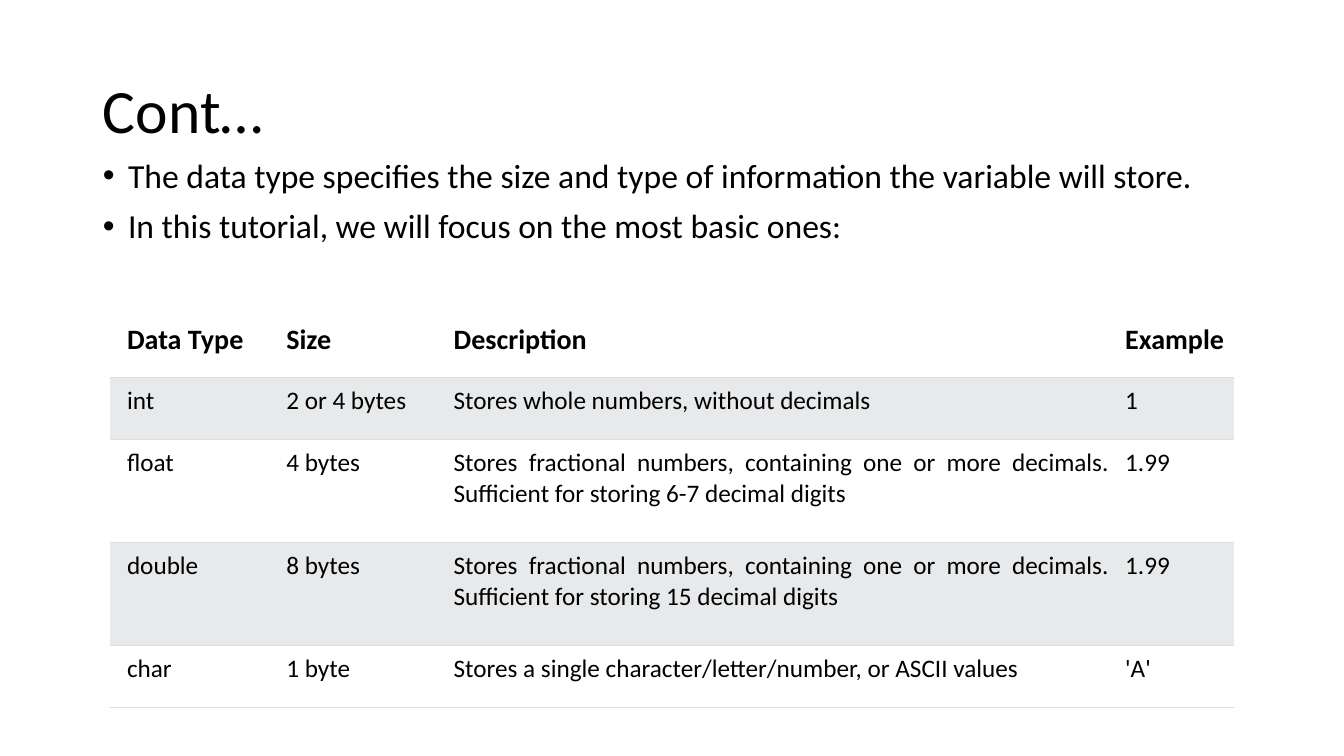
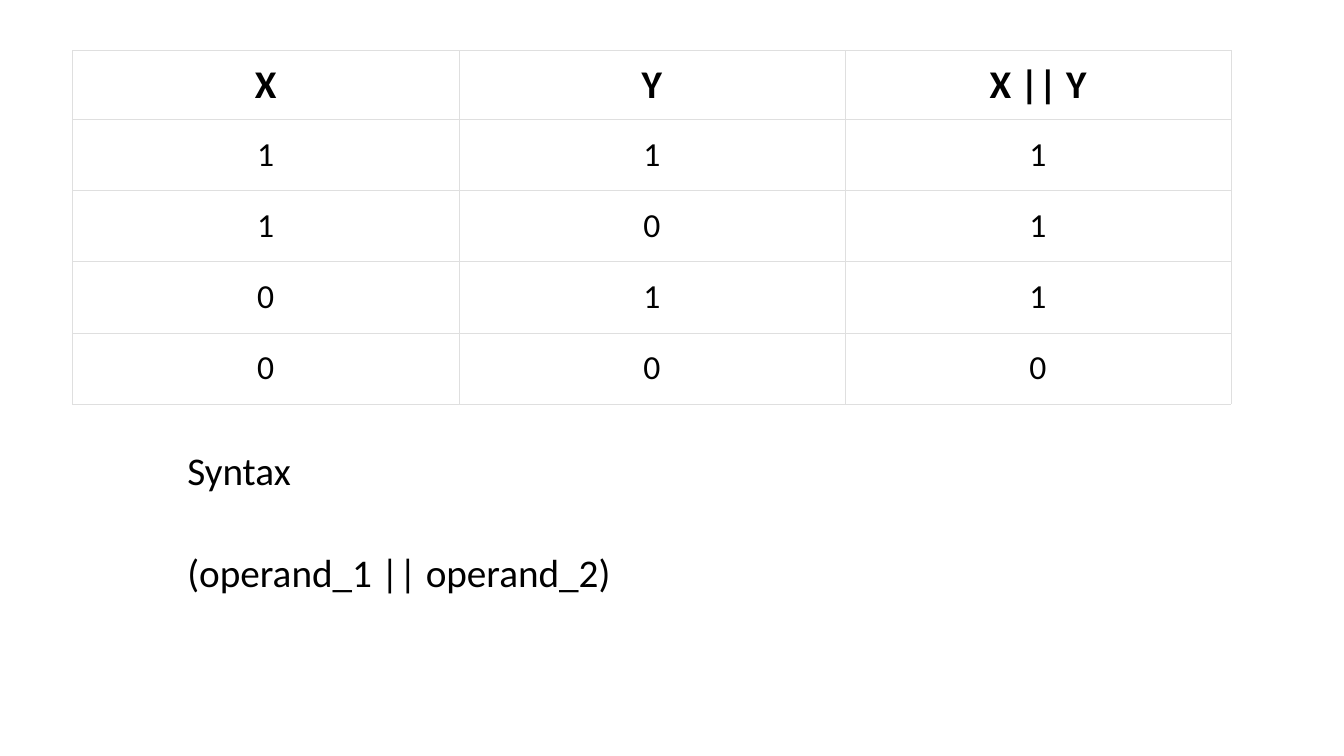
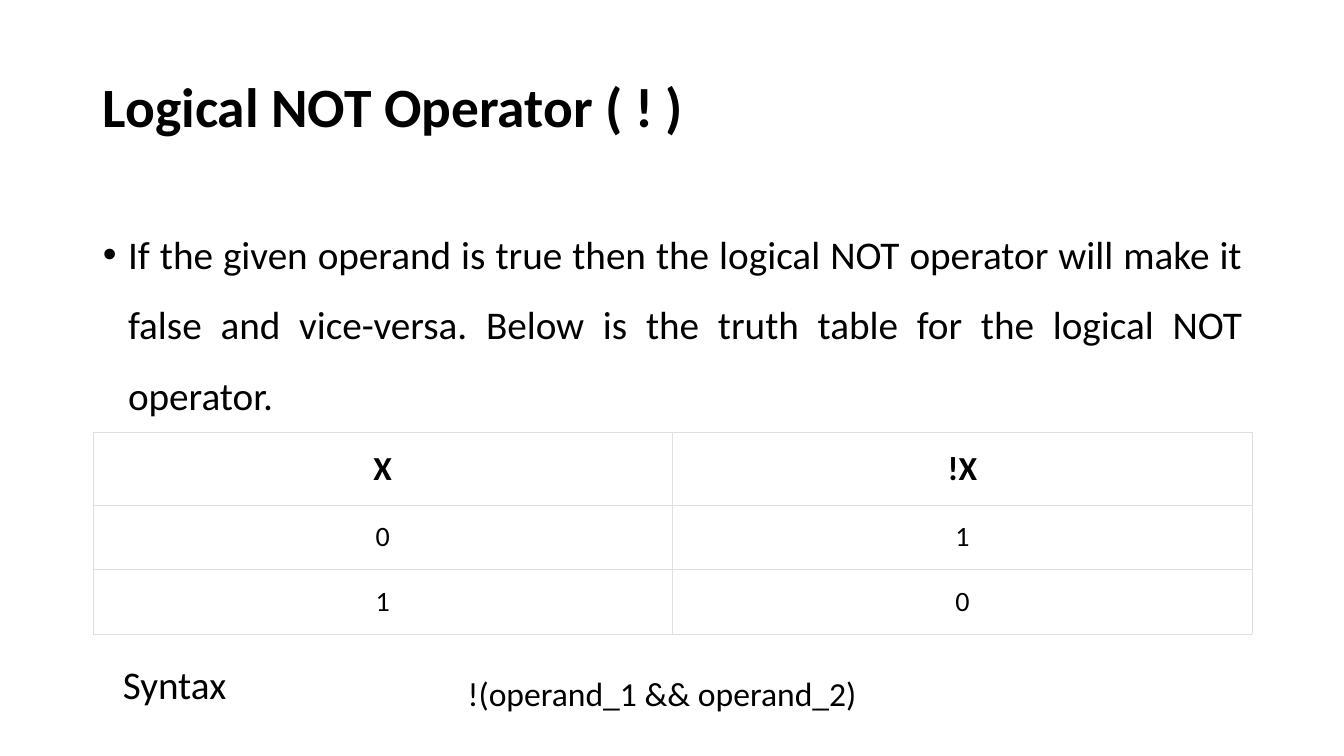
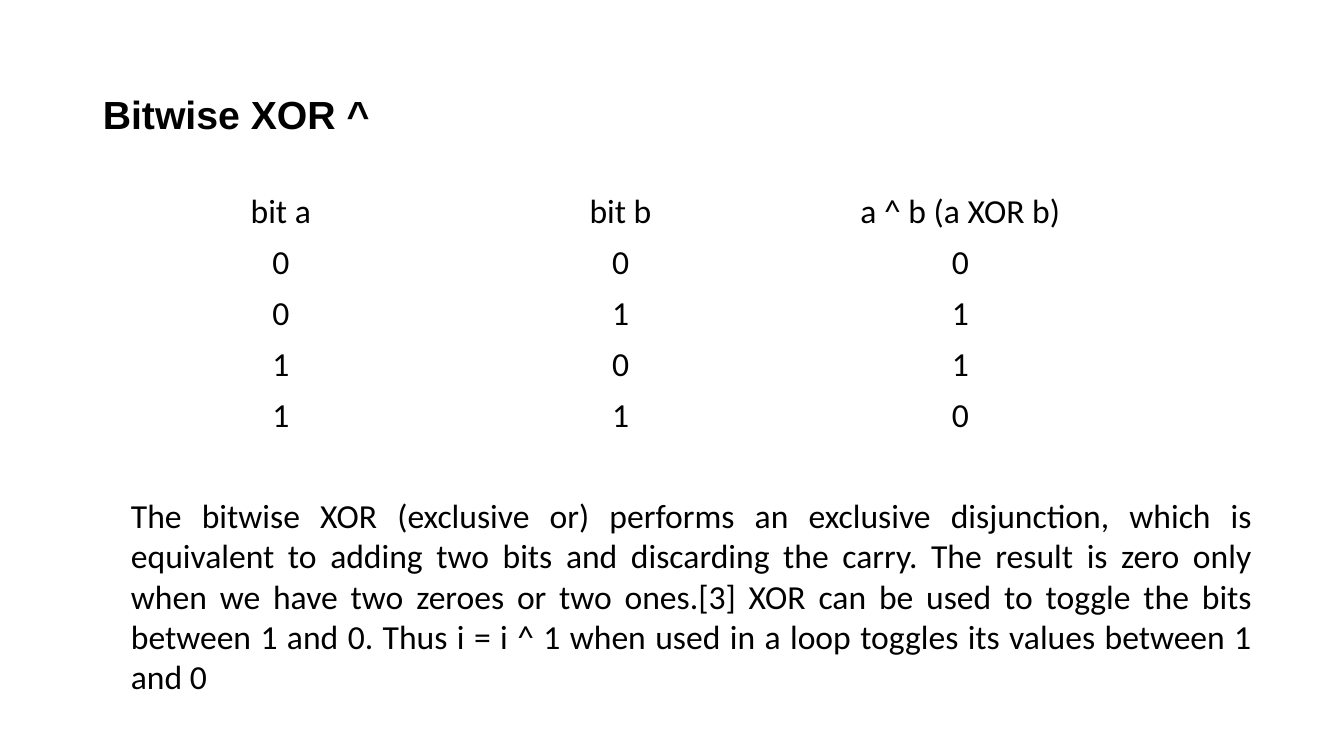
from dataclasses import dataclass

from lxml.etree import SubElement
from pptx import Presentation
from pptx.dml.color import RGBColor
from pptx.enum.text import MSO_ANCHOR, MSO_AUTO_SIZE, PP_ALIGN
from pptx.oxml.ns import qn
from pptx.util import Inches, Pt


@dataclass(frozen=True)
class Theme:
    font: str = "Calibri"
    ink: str = "000000"
    paper: str = "FFFFFF"
    band: str = "E7E9EB"
    rule: str = "DDDDDD"
    grid: str = "DFDFDF"
    head: float = 44
    title: float = 39.6
    large: float = 28
    text: float = 24
    label: float = 20
    small: float = 18


theme = Theme()
LEFT, MID, JUST = PP_ALIGN.LEFT, PP_ALIGN.CENTER, PP_ALIGN.JUSTIFY
PLAIN = "{2D5ABB26-0587-4C30-8999-92F81FD0307C}"  # table style without lines or fills


def write(para, text, size, bold=False, font=theme.font, **form):
    """Add a run to a paragraph and set the paragraph's format values."""
    run = para.add_run()
    run.text = text
    for name, value in {"size": Pt(size), "bold": bold, "name": font}.items():
        setattr(run.font, name, value)
    run.font.color.rgb = RGBColor.from_string(theme.ink)
    for name, value in form.items():
        setattr(para, name, value)


def draw(slide, rows, spot, widths, heights, sizes, pads, aligns,
         bold=True, anchor=MSO_ANCHOR.MIDDLE, fills=(), edges="", line=None):
    """Add a table; sizes and pads hold one value for the head and one for the rest."""
    frame = slide.shapes.add_table(
        len(rows), len(widths), *map(Inches, (*spot, sum(widths), sum(heights))))
    frame.element.find(".//" + qn("a:tableStyleId")).text = PLAIN
    table = frame.table
    for col, width in zip(table.columns, widths):
        col.width = Inches(width)
    for r, row in enumerate(rows):
        table.rows[r].height = Inches(heights[r])
        body = min(r, 1)
        for c, text in enumerate(row):
            cell = table.cell(r, c)
            cell.vertical_anchor = anchor
            side, end = pads[body]
            for name, pad in {"left": side, "right": side, "top": end, "bottom": end}.items():
                setattr(cell, "margin_" + name, Inches(pad))
            props = cell._tc.get_or_add_tcPr()
            for edge in edges:
                color, weight = line
                ln = SubElement(props, qn("a:ln" + edge), w=str(Pt(weight)))
                SubElement(SubElement(ln, qn("a:solidFill")), qn("a:srgbClr"), val=color)
            if fills:
                cell.fill.solid()
                cell.fill.fore_color.rgb = RGBColor.from_string(fills[r % len(fills)])
            write(cell.text_frame.paragraphs[0], text, sizes[body],
                  bold and not body, alignment=aligns[c] if body else aligns[0])
    return table


# Slides: title and content, blank, title only
deck = Presentation()
deck.slide_width, deck.slide_height = Inches(13.33), Inches(7.5)
types, either, negate, xor = [
    deck.slides.add_slide(deck.slide_layouts[n]) for n in (1, 6, 1, 5)]

# Titles
wide = (0.92, 0.4, 11.5, 1.45)
for slide, place, low, space, runs in (
    (types, wide, 0.05, 0.9, [("Cont…", theme.head, False, theme.font)]),
    (negate, wide, 0.13, 0.9, [("Logical NOT Operator ( ! )", theme.title, True, theme.font)]),
    (xor, (0.92, 0.84, 2.94, 0.57), 0.05, 1.0,
     [("Bitwise XOR ", theme.large, True, "Arial"), ("^", theme.large, True, "Courier New")]),
):
    title = slide.shapes.title
    title.left, title.top, title.width, title.height = map(Inches, place)
    frame = title.text_frame
    for name, value in {"auto_size": MSO_AUTO_SIZE.NONE, "margin_bottom": Inches(low),
                        "vertical_anchor": MSO_ANCHOR.MIDDLE}.items():
        setattr(frame, name, value)
    for run in runs:
        write(frame.paragraphs[0], *run, alignment=LEFT, line_spacing=space)

# Bulleted lists
for slide, top, high, size, align, space, lines in (
    (types, 1.53, 5.23, theme.text, LEFT, 0.9, [
        "The data type specifies the size and type of information the variable will store.",
        "In this tutorial, we will focus on the most basic ones:"]),
    (negate, 2, 4.76, theme.large, JUST, 1.5, [
        "If the given operand is true then the logical NOT operator will make it false "
        "and vice-versa. Below is the truth table for the logical NOT operator."]),
):
    body = slide.placeholders[1]
    body.left, body.top, body.width, body.height = map(Inches, (0.92, top, 11.5, high))
    frame = body.text_frame
    frame.auto_size = MSO_AUTO_SIZE.NONE
    for n, text in enumerate(lines):
        para = frame.add_paragraph() if n else frame.paragraphs[0]
        write(para, text, size, alignment=align, line_spacing=space, space_before=Pt(10))
        props = para._p.get_or_add_pPr()
        props.set("marL", str(Inches(0.25)))
        props.set("indent", str(Inches(-0.25)))

# Data types table
start = "Stores fractional numbers, containing one or more decimals. Sufficient for storing "
table = draw(
    types,
    [("Data Type", "Size", "Description", "Example"),
     ("int", "2 or 4 bytes", "Stores whole numbers, without decimals", "1"),
     ("float", "4 bytes", start + "6-7 decimal digits", "1.99"),
     ("double", "8 bytes", start + "15 decimal digits", "1.99"),
     ("char", "1 byte", "Stores a single character/letter/number, or ASCII values", "'A'")],
    (1.09, 3.12), (1.67, 1.66, 6.66, 1.16), (0.62, 0.62, 1.02, 1.02, 0.62),
    (theme.label, theme.small), [(0.08, 0.08)] * 2, (LEFT, LEFT, JUST, LEFT),
    anchor=MSO_ANCHOR.TOP, fills=(theme.paper, theme.band), edges="B", line=(theme.rule, 0.75))
for r in range(len(table.rows)):
    table.cell(r, 0).margin_left = Inches(0.17)

# Truth tables for OR and NOT
boxed = {"pads": [(0.1, 0.1), (0.1, 0.15)], "aligns": [MID] * 3, "fills": [theme.paper],
         "edges": "LRTB", "line": (theme.grid, 0.23)}
draw(either, [("X", "Y", "X || Y"), "111", "101", "011", "000"], (0.72, 0.5),
     [3.83] * 3, [0.68] + [0.7] * 4, (theme.large, theme.text), **boxed)
draw(negate, [("X", "!X"), "01", "10"], (0.92, 4.29),
     [5.75] * 2, (0.72, 0.63, 0.63), (theme.text, theme.label), **boxed)

# Truth table for XOR
draw(xor, [("bit a", "bit b", "a ^ b (a XOR b)"), "000", "011", "101", "110"], (1.1, 1.85),
     [3.37] * 3, [0.5] * 5, [theme.text] * 2, [(0.1, 0.05)] * 2, [MID] * 3, bold=False)

# Syntax labels and closing text
for slide, place, text, size, align, wrap in (
    (either, (1.76, 4.38, 1.24, 0.57), "Syntax", theme.large, LEFT, False),
    (either, (1.76, 5.39, 4.45, 0.57), "(operand_1 || operand_2)", theme.large, LEFT, False),
    (negate, (1.12, 6.5, 1.24, 0.57), "Syntax", theme.large, LEFT, False),
    (negate, (4.54, 6.63, 4.1, 0.5), "!(operand_1 && operand_2)", theme.text, LEFT, False),
    (xor, (1.2, 4.86, 11.32, 2.12),
     "The bitwise XOR (exclusive or) performs an exclusive disjunction, which is equivalent "
     "to adding two bits and discarding the carry. The result is zero only when we have two "
     "zeroes or two ones.[3] XOR can be used to toggle the bits between 1 and 0. Thus "
     "i = i ^ 1 when used in a loop toggles its values between 1 and 0",
     theme.text, JUST, True),
):
    frame = slide.shapes.add_textbox(*map(Inches, place)).text_frame
    frame.word_wrap = wrap
    write(frame.paragraphs[0], text, size, alignment=align)

deck.save("out.pptx")
